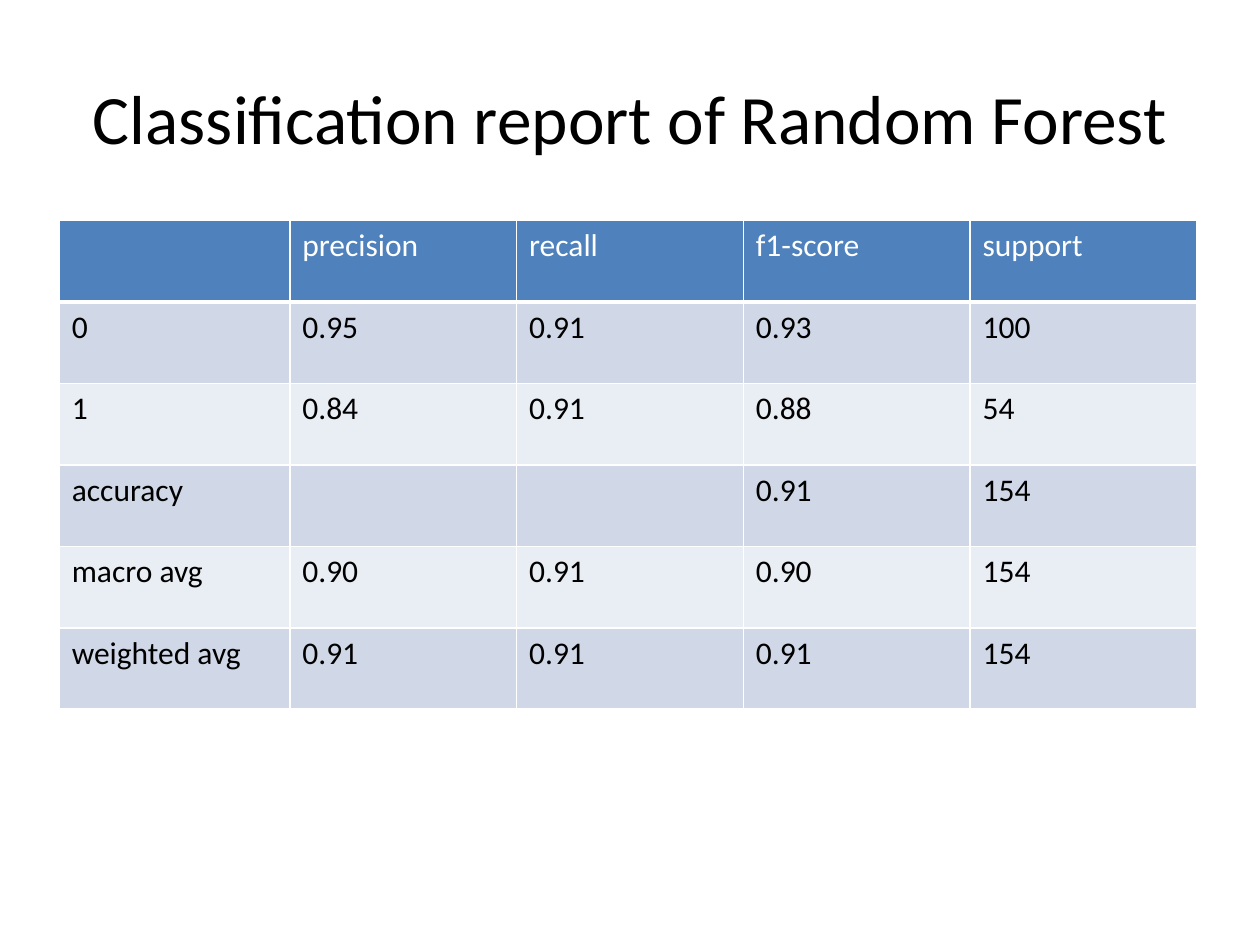
from lxml.etree import SubElement
from pptx import Presentation
from pptx.dml.color import RGBColor
from pptx.enum.text import MSO_ANCHOR, PP_ALIGN
from pptx.oxml.ns import qn
from pptx.util import Inches, Pt

BLACK = RGBColor(0x00, 0x00, 0x00)
WHITE = RGBColor(0xFF, 0xFF, 0xFF)
HEADER = RGBColor(0x4F, 0x81, 0xBD)
BANDS = [RGBColor(0xE9, 0xED, 0xF4), RGBColor(0xD0, 0xD8, 0xE8)]

REPORT = [
    ["", "precision", "recall", "f1-score", "support"],
    ["0", "0.95", "0.91", "0.93", "100"],
    ["1", "0.84", "0.91", "0.88", "54"],
    ["accuracy", "", "", "0.91", "154"],
    ["macro avg", "0.90", "0.91", "0.90", "154"],
    ["weighted avg", "0.91", "0.91", "0.91", "154"],
]


def write(tf, text, size=18, color=BLACK, align=PP_ALIGN.LEFT):
    p = tf.paragraphs[0]
    p.alignment = align
    r = p.add_run()
    r.text = text
    r.font.name = "Calibri"
    r.font.size = Pt(size)
    r.font.bold = False
    r.font.color.rgb = color


def set_borders(cell, **widths):
    """Draw white cell borders; widths are points by side (L, R, T, B)."""
    tcPr = cell._tc.get_or_add_tcPr()
    for side in "LRTB":
        ln = SubElement(tcPr, qn(f"a:ln{side}"), w=str(Pt(widths.get(side, 1))))
        fill = SubElement(ln, qn("a:solidFill"))
        SubElement(fill, qn("a:srgbClr"), val=str(WHITE))


def add_title(s, text, x, y, w, h):
    sp = s.shapes.title
    sp.left, sp.top, sp.width, sp.height = map(Inches, (x, y, w, h))
    sp.text_frame.vertical_anchor = MSO_ANCHOR.MIDDLE
    write(sp.text_frame, text, size=39.6, align=PP_ALIGN.CENTER)


def add_report(s, rows, x, y, w, h, first_col):
    n_rows, n_cols = len(rows), len(rows[0])
    table = s.shapes.add_table(n_rows, n_cols, *map(Inches, (x, y, w, h))).table
    # First column is slightly wider, the rest share what is left
    for i, col in enumerate(table.columns):
        col.width = Inches((w - first_col) / (n_cols - 1) if i else first_col)
    for i, row in enumerate(rows):
        table.rows[i].height = Inches(h / n_rows)
        for j, text in enumerate(row):
            cell = table.cell(i, j)
            # Heavier rule between header and body
            set_borders(cell, B=1 if i else 3, T=3 if i == 1 else 1)
            cell.fill.solid()
            cell.fill.fore_color.rgb = BANDS[i % 2] if i else HEADER
            if text:
                write(cell.text_frame, text, color=BLACK if i else WHITE)


prs = Presentation()
prs.slide_width, prs.slide_height = Inches(10), Inches(7.5)
s = prs.slides.add_slide(prs.slide_layouts[5])
add_title(s, "Classification report of Random Forest", 0.5, 0.3, 9, 1.25)
add_report(s, REPORT, 0.47, 1.75, 9.03, 3.88, first_col=1.83)
prs.save("out.pptx")
